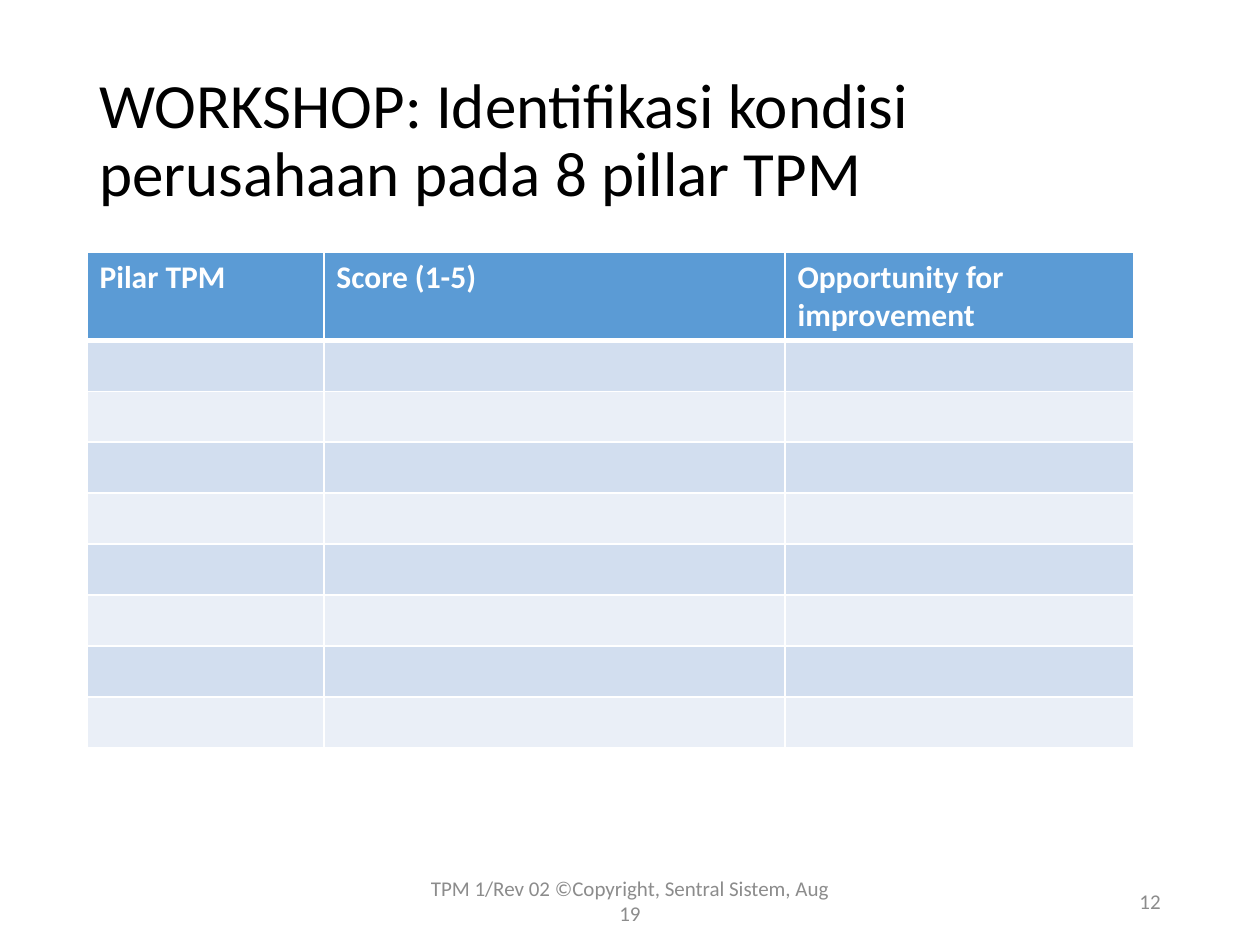
from lxml import etree
from pptx import Presentation
from pptx.dml.color import RGBColor
from pptx.enum.text import MSO_ANCHOR as Anchor, PP_ALIGN as Align
from pptx.oxml.ns import qn
from pptx.util import Inches, Pt

BLACK = RGBColor(0x00, 0x00, 0x00)
WHITE = RGBColor(0xFF, 0xFF, 0xFF)
GRAY = RGBColor(0x8C, 0x8C, 0x8C)
BLUE = RGBColor(0x5B, 0x9B, 0xD5)
BANDS = (RGBColor(0xD2, 0xDE, 0xEF), RGBColor(0xEA, 0xEF, 0xF7))

# Content: text, position, alignment, line spacing, font
TITLE_FONT = {"name": "Calibri", "size": Pt(36)}
FOOTER_FONT = {"name": "Calibri", "size": Pt(12)}
HEADER_FONT = {"name": "Calibri", "size": Pt(18), "bold": True}
TEXTS = [
    ("WORKSHOP: Identifikasi kondisi perusahaan pada 8 pillar TPM",
     (0.69, 0.4, 8.62, 1.45), Align.LEFT, 0.9, TITLE_FONT, BLACK),
    ("TPM 1/Rev 02 ©Copyright, Sentral Sistem, Aug 19",
     (3.31, 6.95, 3.38, 0.4), Align.CENTER, 1.0, FOOTER_FONT, GRAY),
    ("12", (7.06, 6.95, 2.25, 0.4), Align.RIGHT, 1.0, FOOTER_FONT, GRAY),
]
COLUMNS = [("Pilar TPM", 1.88), ("Score (1-5)", 3.66),
           ("Opportunity for improvement", 2.77)]
PILLARS = 8
TABLE_LEFT, TABLE_TOP, TABLE_HEIGHT = 0.69, 2, 3.94
HEADER_HEIGHT = 0.7


def write(paragraph, text, font, color):
    span = paragraph.add_run()
    span.text = text
    for name, value in font.items():
        setattr(span.font, name, value)
    span.font.color.rgb = color


def add_borders(cell, widths):
    properties = cell._tc.get_or_add_tcPr()
    for side, width in widths.items():
        line = etree.SubElement(properties, qn(f"a:ln{side}"), w=str(Pt(width)))
        fill = etree.SubElement(line, qn("a:solidFill"))
        etree.SubElement(fill, qn("a:srgbClr"), val=str(WHITE))


deck = Presentation()
deck.slide_width, deck.slide_height = Inches(10), Inches(7.5)
page = deck.slides.add_slide(deck.slide_layouts[6])

# Title, footer and page number
for text, place, align, spacing, font, color in TEXTS:
    box = page.shapes.add_textbox(*map(Inches, place))
    frame = box.text_frame
    frame.word_wrap = True
    frame.vertical_anchor = Anchor.MIDDLE
    paragraph = frame.paragraphs[0]
    paragraph.alignment = align
    paragraph.line_spacing = spacing
    write(paragraph, text, font, color)

# Scoring table: one header row and one empty row per pillar
table_width = sum(width for _, width in COLUMNS)
table = page.shapes.add_table(
    PILLARS + 1, len(COLUMNS), Inches(TABLE_LEFT), Inches(TABLE_TOP),
    Inches(table_width), Inches(TABLE_HEIGHT)).table
row_height = (TABLE_HEIGHT - HEADER_HEIGHT) / PILLARS

for column, (heading, width) in zip(table.columns, COLUMNS):
    column.width = Inches(width)
for index, row in enumerate(table.rows):
    row.height = Inches(row_height if index else HEADER_HEIGHT)
    for cell, (heading, _) in zip(row.cells, COLUMNS):
        add_borders(cell, {"L": 1, "R": 1, "T": 3 if index == 1 else 1,
                           "B": 1 if index else 3})
        cell.fill.solid()
        cell.fill.fore_color.rgb = BANDS[(index - 1) % 2] if index else BLUE
        if index == 0:
            write(cell.text_frame.paragraphs[0], heading, HEADER_FONT, WHITE)

deck.save("out.pptx")
